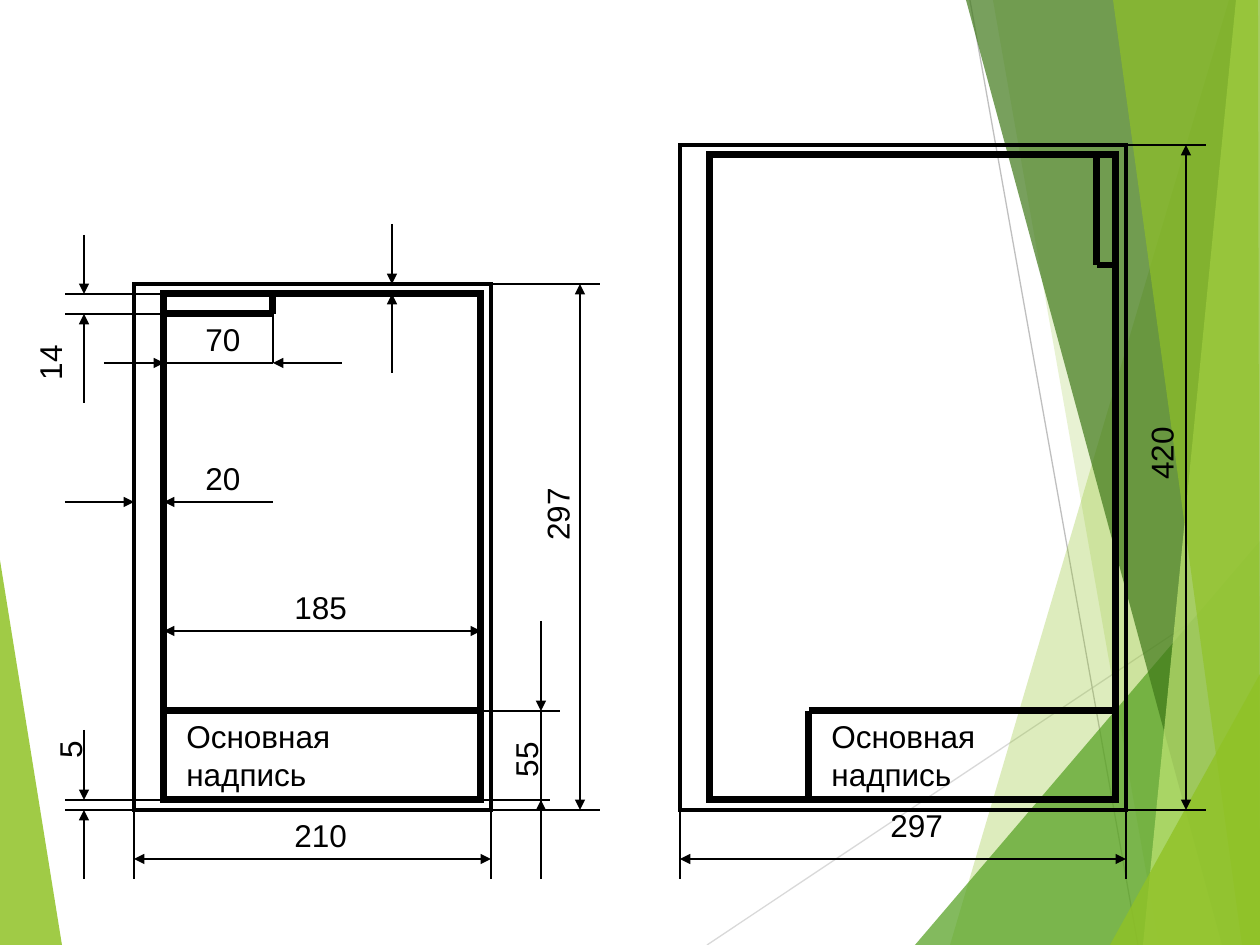
from lxml import etree
from pptx import Presentation
from pptx import util as u
from pptx.dml import color
from pptx.enum import shapes, text
from pptx.oxml import ns

PX = 914400 / 126
WIDTH, HEIGHT = 1260, 945
BLACK = "000000"
FONT, FONT_SIZE = "Arial", 18
THICK, MEDIUM, THIN = 4, 2, 0.75

BACKGROUND_LINES = [
    ("D9D9D9", (707, 945, 1260, 576)),
    ("BFBFBF", (970, 0, 1138, 945)),
]
LEFT_FACET = ("90C226", 85, [(0, 560), (62, 945), (0, 945)])
RIGHT_FACETS = [
    ("90C226", 30, [(1229, 0), (950, 945), (1260, 945), (1260, 0)]),
    ("90C226", 20, [(993, 0), (1159, 945), (1260, 945), (1260, 0)]),
    ("54A021", 72, [(915, 945), (1260, 541), (1260, 945)]),
    ("3F7819", 70, [(966, 0), (1222, 945), (1260, 945), (1260, 0)]),
    ("C0E474", 70, [(1236, 0), (1143, 945), (1260, 945), (1260, 0)]),
    ("90C226", 65, [(1113, 0), (1242, 945), (1260, 945), (1258, 0)]),
    ("90C226", 80, [(1110, 945), (1260, 674), (1260, 945)]),
]

FRAMES = [
    (164, 294, 481, 800, THICK),
    (709, 155, 1116, 800, THICK),
    (134, 284, 491, 810, MEDIUM),
    (680, 145, 1126, 810, MEDIUM),
]
STAMP_LINES = [
    (164, 711, 481, 711),
    (809, 711, 1116, 711),
    (809, 711, 809, 800),
    (164, 314, 273, 314),
    (273, 314, 273, 294),
    (1097, 155, 1097, 265),
    (1097, 265, 1116, 265),
]
EXTENSION_LINES = [
    (164, 294, 65, 294),
    (164, 314, 65, 314),
    (273, 314, 273, 363),
    (273, 363, 164, 363),
    (164, 800, 65, 800),
    (134, 810, 65, 810),
    (134, 810, 134, 879),
    (491, 810, 491, 879),
    (481, 711, 560, 711),
    (481, 800, 550, 800),
    (541, 711, 541, 810),
    (491, 810, 600, 810),
    (491, 284, 600, 284),
    (680, 810, 680, 879),
    (1126, 810, 1126, 879),
    (1126, 810, 1206, 810),
    (1126, 145, 1206, 145),
]
POINTERS = [
    (392, 224, 392, 284),
    (392, 373, 392, 294),
    (84, 235, 84, 294),
    (84, 403, 84, 314),
    (104, 363, 164, 363),
    (342, 363, 273, 363),
    (65, 502, 134, 502),
    (273, 502, 164, 502),
    (84, 730, 84, 800),
    (84, 879, 84, 810),
    (541, 621, 541, 711),
    (541, 879, 541, 800),
]
DIMENSIONS = [
    (164, 631, 481, 631),
    (134, 859, 491, 859),
    (580, 284, 580, 810),
    (680, 859, 1126, 859),
    (1186, 145, 1186, 810),
]
LABELS = [
    ("70", 193, 314, 89, 50, 0),
    ("20", 193, 453, 69, 50, 0),
    ("185", 282, 582, 118, 50, 0),
    ("210", 282, 810, 179, 50, 0),
    ("Основная надпись", 174, 711, 278, 88, 0),
    ("Основная надпись", 819, 711, 248, 88, 0),
    ("297", 878, 800, 120, 50, 0),
    ("14", 10, 328, 79, 50, 270),
    ("5", 40, 716, 59, 50, 270),
    ("55", 486, 725, 79, 50, 270),
    ("297", 502, 473, 110, 50, 270),
    ("420", 1111, 417, 100, 50, 270),
]


def emu(*lengths):
    return [u.Emu(round(length * PX)) for length in lengths]


def rgb(value):
    return color.RGBColor.from_string(value)


def format_line(line, width, value=BLACK):
    line.width = u.Pt(width)
    line.color.rgb = rgb(value)


def add_facet(slide, value, opacity, points):
    builder = slide.shapes.build_freeform(*points[0], scale=PX)
    builder.add_line_segments(points[1:], close=True)
    shape = builder.convert_to_shape()
    shape.shadow.inherit = False
    shape.fill.solid()
    shape.fill.fore_color.rgb = rgb(value)
    shape.line.fill.background()
    fill_color = shape.fill._xPr.find(".//" + ns.qn("a:srgbClr"))
    etree.SubElement(fill_color, ns.qn("a:alpha"), val=str(opacity * 1000))


def add_line(slide, ends, width, value=BLACK, arrows=()):
    connector = slide.shapes.add_connector(shapes.MSO_CONNECTOR.STRAIGHT, *emu(*ends))
    format_line(connector.line, width, value)
    properties = connector._element.spPr
    etree.SubElement(properties, ns.qn("a:effectLst"))
    for arrow in arrows:
        etree.SubElement(properties.find(ns.qn("a:ln")), ns.qn("a:" + arrow), type="triangle")


def add_frame(slide, left, top, right, bottom, width):
    shape = slide.shapes.add_shape(
        shapes.MSO_SHAPE.RECTANGLE, *emu(left, top, right - left, bottom - top))
    shape.shadow.inherit = False
    shape.fill.background()
    format_line(shape.line, width)
    outline = shape._element.spPr.find(ns.qn("a:ln"))
    etree.SubElement(outline, ns.qn("a:miter"), lim="800000")


def add_label(slide, wording, left, top, width, height, rotation):
    shape = slide.shapes.add_textbox(*emu(left, top, width, height))
    shape.rotation = rotation
    frame = shape.text_frame
    frame.word_wrap = True
    frame.auto_size = text.MSO_AUTO_SIZE.SHAPE_TO_FIT_TEXT
    run = frame.paragraphs[0].add_run()
    run.text = wording
    run.font.name = FONT
    run.font.size = u.Pt(FONT_SIZE)
    run.font.color.rgb = rgb(BLACK)


def main():
    presentation = Presentation()
    presentation.slide_width, presentation.slide_height = emu(WIDTH, HEIGHT)
    slide = presentation.slides.add_slide(presentation.slide_layouts[6])

    add_facet(slide, *LEFT_FACET)
    for value, ends in BACKGROUND_LINES:
        add_line(slide, ends, THIN, value)
    for facet in RIGHT_FACETS:
        add_facet(slide, *facet)

    for frame in FRAMES:
        add_frame(slide, *frame)
    for lines, width, arrows in [
        (STAMP_LINES, THICK, ()),
        (EXTENSION_LINES, THIN, ()),
        (POINTERS, THIN, ("tailEnd",)),
        (DIMENSIONS, THIN, ("headEnd", "tailEnd")),
    ]:
        for ends in lines:
            add_line(slide, ends, width, arrows=arrows)
    for label in LABELS:
        add_label(slide, *label)

    presentation.save("out.pptx")


if __name__ == "__main__":
    main()
